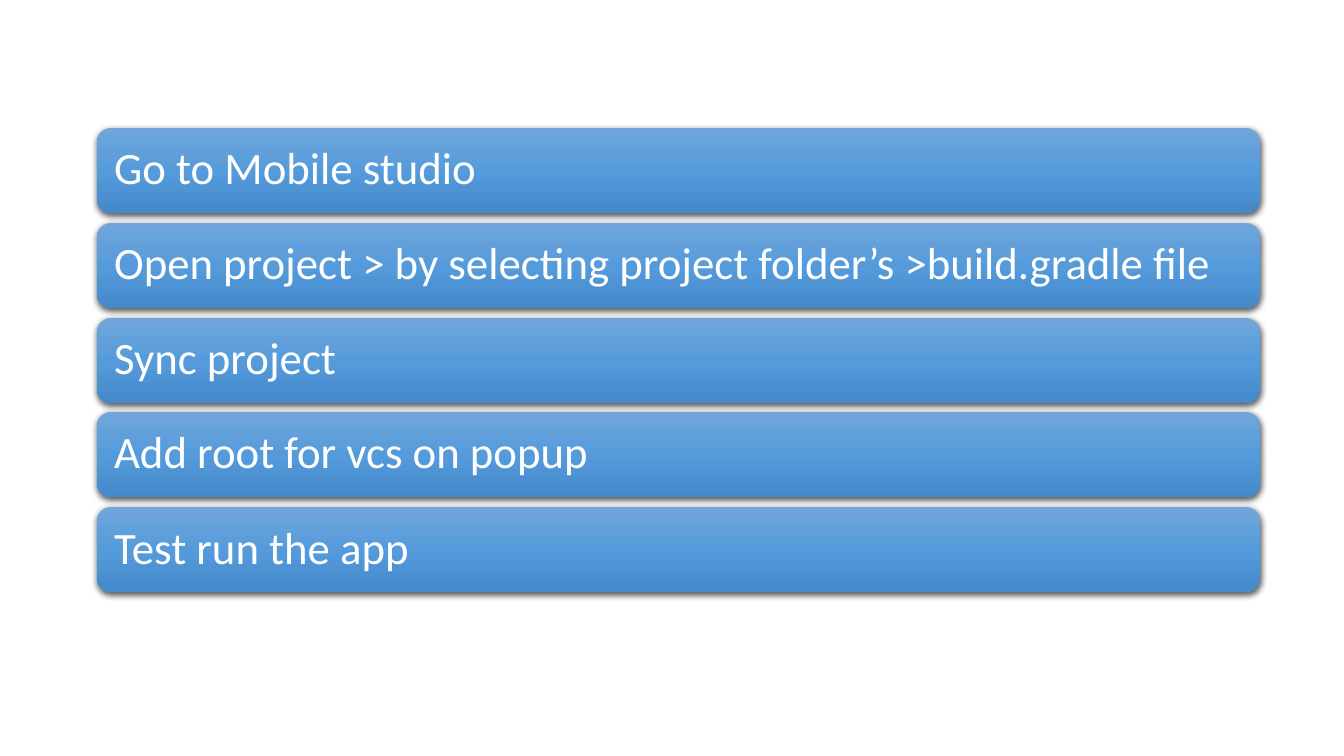
"""Build a slide listing five project setup steps as stacked rounded bars."""
from copy import deepcopy
from typing import NamedTuple

from lxml.etree import SubElement
from pptx import Presentation
from pptx.dml.color import RGBColor
from pptx.enum.shapes import MSO_SHAPE as Shape
from pptx.enum.text import MSO_ANCHOR as Anchor, PP_ALIGN as Align
from pptx.oxml.ns import qn
from pptx.shapes.autoshape import Shape as Box
from pptx.slide import Slide
from pptx.util import Emu, Pt

EMU_PER_PIXEL = 914400 / 100.8
WHITE = RGBColor(0xFF, 0xFF, 0xFF)
BLACK = RGBColor(0x00, 0x00, 0x00)
LIGHT_BLUE = RGBColor(0x71, 0xA6, 0xDB)
MID_BLUE = RGBColor(0x55, 0x9B, 0xDB)
DEEP_BLUE = RGBColor(0x44, 0x8A, 0xCA)
GRADIENT = ((0, LIGHT_BLUE), (0.5, MID_BLUE), (1, DEEP_BLUE))

BAR_LEFT, FIRST_TOP, LAST_TOP = 97, 128, 507
BAR_WIDTH, BAR_HEIGHT = 1163, 85
TEXT_INSET = 13


class Step(NamedTuple):
    text: str
    top: int


STEP_TEXTS = (
    "Go to Mobile studio",
    "Open project > by selecting project folder’s >build.gradle file",
    "Sync project",
    "Add root for vcs on popup",
    "Test run the app",
)
BAR_PITCH = (LAST_TOP - FIRST_TOP) / (len(STEP_TEXTS) - 1)
STEPS = [Step(text, round(FIRST_TOP + row * BAR_PITCH))
         for row, text in enumerate(STEP_TEXTS)]


def px(pixels: int) -> Emu:
    return Emu(round(pixels * EMU_PER_PIXEL))


def fill_gradient(box: Box) -> None:
    box.fill.gradient()
    box.fill.gradient_angle = 270
    first_stop = box._element.spPr.find(".//" + qn("a:gs"))
    first_stop.addnext(deepcopy(first_stop))
    for stop, (position, color) in zip(box.fill.gradient_stops, GRADIENT):
        stop.position = position
        stop.color.rgb = color


def add_shadow(box: Box) -> None:
    box.shadow.inherit = False
    effects = box._element.spPr.find(qn("a:effectLst"))
    shadow = SubElement(effects, qn("a:outerShdw"), blurRad=str(Pt(4.5)),
                        dist=str(Pt(1.5)), dir="5400000", algn="ctr", rotWithShape="0")
    color = SubElement(shadow, qn("a:srgbClr"), val=str(BLACK))
    SubElement(color, qn("a:alpha"), val="63000")


def add_step(page: Slide, step: Step) -> None:
    box = page.shapes.add_shape(Shape.ROUNDED_RECTANGLE, px(BAR_LEFT), px(step.top),
                                px(BAR_WIDTH), px(BAR_HEIGHT))
    fill_gradient(box)
    box.line.fill.background()
    add_shadow(box)
    frame = box.text_frame
    frame.word_wrap = True
    frame.vertical_anchor = Anchor.MIDDLE
    frame.margin_left = frame.margin_right = px(TEXT_INSET)
    frame.margin_top = frame.margin_bottom = px(TEXT_INSET)
    para = frame.paragraphs[0]
    para.text = step.text
    para.alignment = Align.LEFT
    para.line_spacing = 0.9
    para.font.name = "Calibri"
    para.font.size = Pt(32)
    para.font.color.rgb = WHITE


deck = Presentation()
deck.slide_width, deck.slide_height = px(1344), px(756)
page = deck.slides.add_slide(deck.slide_layouts[6])
for step in STEPS:
    add_step(page, step)
deck.save("out.pptx")
